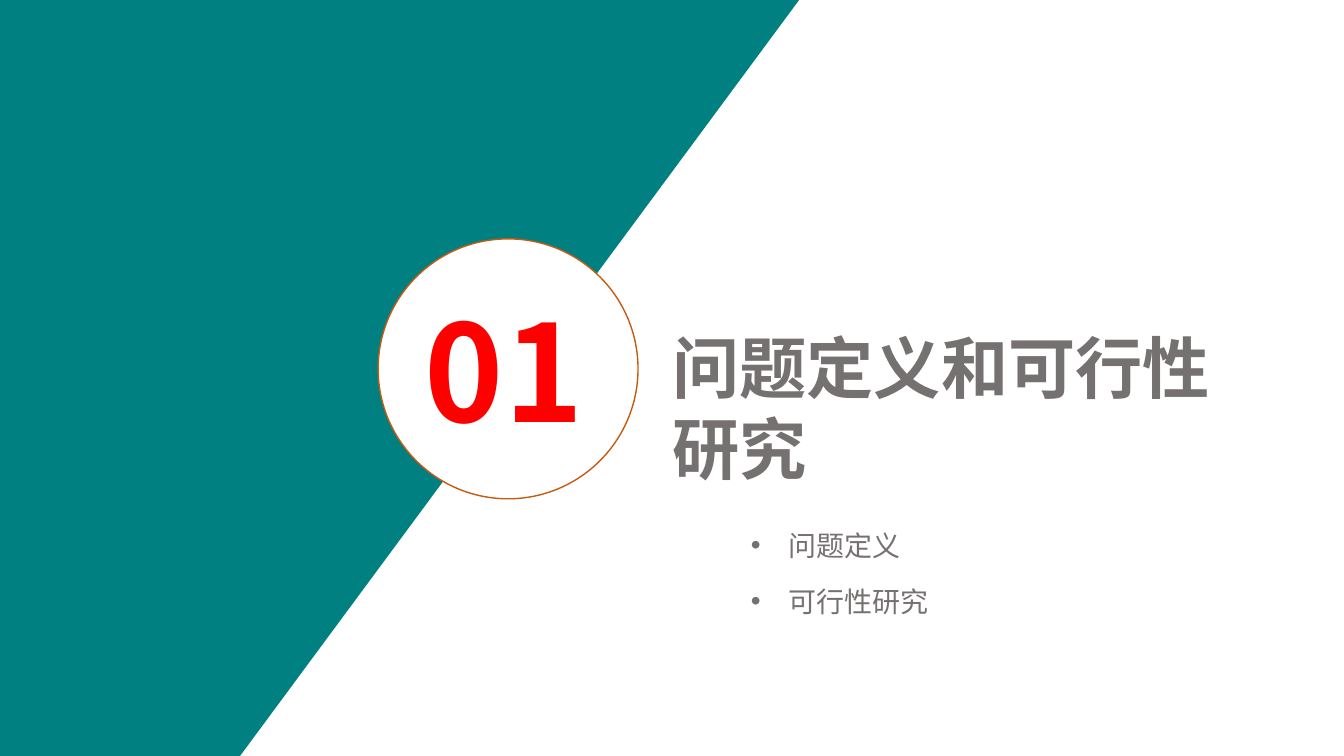
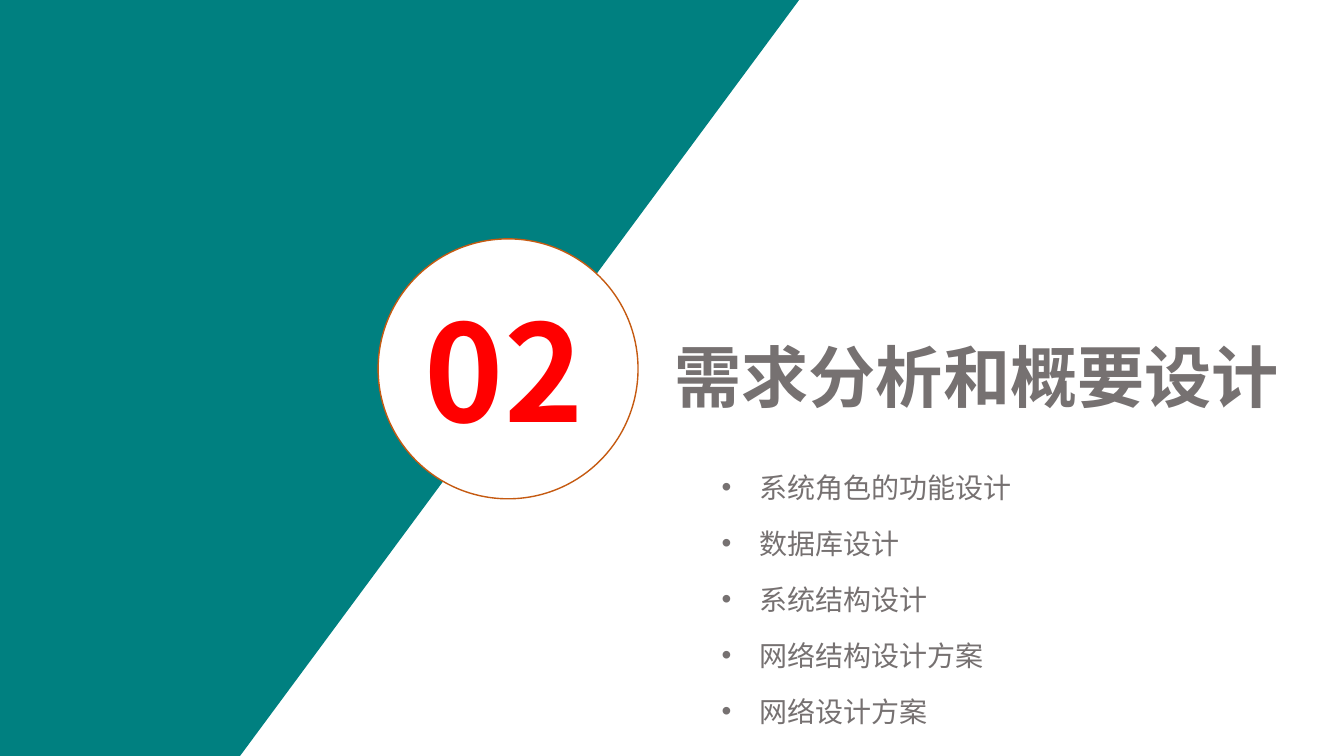
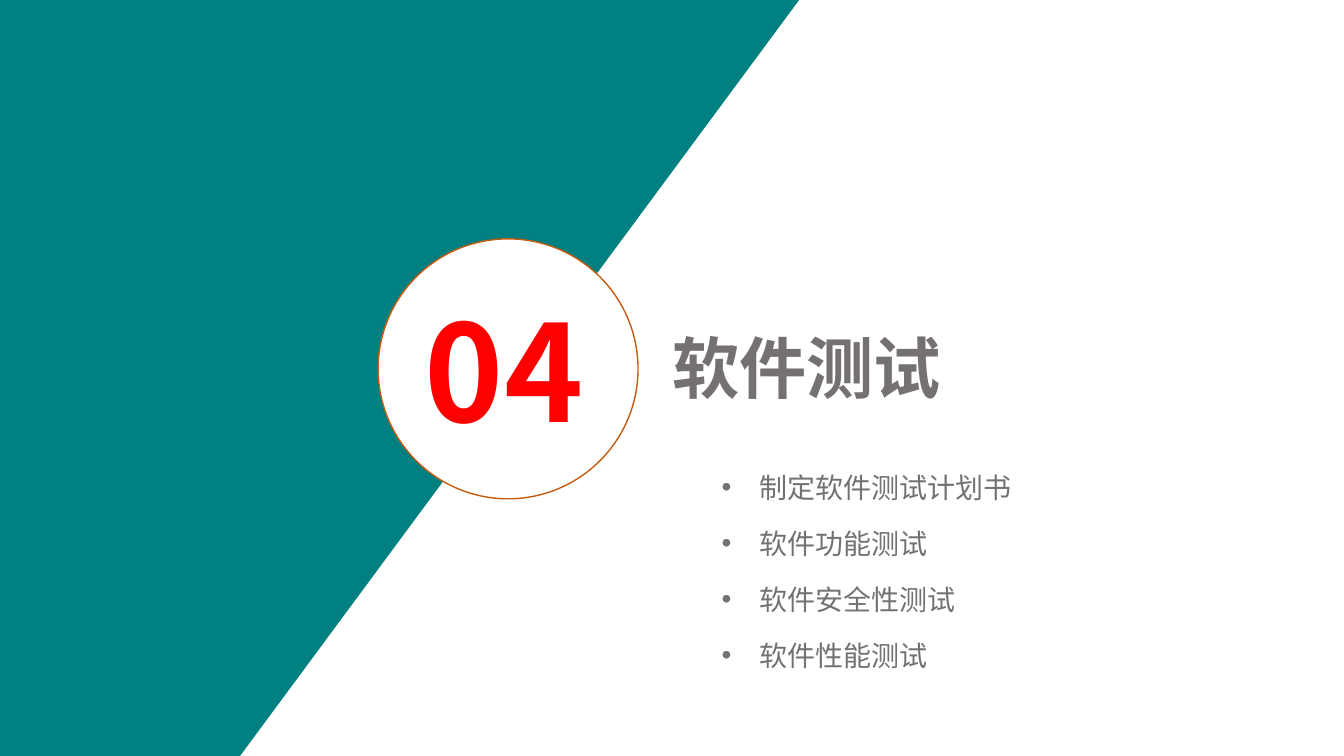
from lxml import etree
from pptx import Presentation
from pptx.dml.color import RGBColor
from pptx.enum.shapes import MSO_SHAPE
from pptx.enum.text import MSO_ANCHOR, MSO_AUTO_SIZE, PP_ALIGN
from pptx.oxml.ns import qn
from pptx.util import Cm, Pt

PARTS = [
    {
        "num": "01",
        "title": "问题定义和可行性研究",
        "head": (16.69, 8.1, 14.27, 4.47),
        "list": (18.67, 13.18),
        "items": ["问题定义", "可行性研究"],
    },
    {
        "num": "02",
        "title": "需求分析和概要设计",
        "head": (16.74, 8.31, 15.98, 2.44),
        "list": (17.93, 11.73),
        "items": ["系统角色的功能设计", "数据库设计", "系统结构设计",
                  "网络结构设计方案", "网络设计方案"],
    },
    {
        "num": "04",
        "title": "软件测试",
        "head": (16.69, 8.1, 14.27, 2.44),
        "list": (17.93, 11.73),
        "items": ["制定软件测试计划书", "软件功能测试",
                  "软件安全性测试", "软件性能测试"],
    },
]

TEAL = RGBColor(0x00, 0x80, 0x80)
WHITE = RGBColor(0xFF, 0xFF, 0xFF)
RUST = RGBColor(0xC5, 0x5A, 0x11)
RED = RGBColor(0xFF, 0x00, 0x00)
GREY = RGBColor(0x76, 0x71, 0x71)
FONT = "Noto Sans CJK SC"

WIDE, HIGH = 33.87, 19.05
BAND = [(20.14, 0), (6.05, HIGH), (0, HIGH)]
DISC = (9.53, 6.02, 6.55, 6.55)
NUM = (10.46, 7.14, 4.83, 4.6)
LISTW, STEP, INDENT = 10.31, 1.41, 0.95


def place(shape, box):
    shape.left, shape.top, shape.width, shape.height = map(Cm, box)


def style(shape, size, color, bold):
    frame = shape.text_frame
    frame.auto_size = MSO_AUTO_SIZE.NONE
    frame.vertical_anchor = MSO_ANCHOR.TOP
    for para in frame.paragraphs:
        para.alignment = PP_ALIGN.LEFT
        para.line_spacing = 1.0
        para.space_before = Pt(0)
        for run in para.runs:
            font = run.font
            font.size = Pt(size)
            font.bold = bold
            font.color.rgb = color
            font.name = FONT
            east = etree.SubElement(run._r.get_or_add_rPr(), qn("a:ea"))
            east.set("typeface", FONT)


def bullet(para):
    props = para._p.get_or_add_pPr()
    props.set("marL", str(Cm(INDENT)))
    props.set("indent", str(-Cm(INDENT)))
    etree.SubElement(props, qn("a:buFont")).set("typeface", "Arial")
    etree.SubElement(props, qn("a:buChar")).set("char", "•")


def add_band(slide):
    path = slide.shapes.build_freeform(0, 0)
    path.add_line_segments([(Cm(x), Cm(y)) for x, y in BAND], close=True)
    band = path.convert_to_shape()
    band.shadow.inherit = False
    band.fill.solid()
    band.fill.fore_color.rgb = TEAL
    band.line.fill.background()


def add_badge(slide, num):
    disc = slide.shapes.add_shape(MSO_SHAPE.OVAL, *map(Cm, DISC))
    disc.shadow.inherit = False
    disc.fill.solid()
    disc.fill.fore_color.rgb = WHITE
    disc.line.color.rgb = RUST
    disc.line.width = Pt(1)
    label = slide.shapes.add_textbox(*map(Cm, NUM))
    label.text_frame.text = num
    style(label, 96, RED, True)


def add_list(body, spot, items):
    place(body, (*spot, LISTW, STEP * len(items)))
    body.text_frame.text = "\n".join(items)
    for para in body.text_frame.paragraphs:
        bullet(para)
        para.space_after = Pt(16)
    style(body, 20, GREY, False)


def main():
    deck = Presentation()
    deck.slide_width, deck.slide_height = Cm(WIDE), Cm(HIGH)
    for part in PARTS:
        slide = deck.slides.add_slide(deck.slide_layouts[1])
        add_band(slide)
        add_badge(slide, part["num"])
        title = slide.shapes.title
        place(title, part["head"])
        title.text_frame.text = part["title"]
        style(title, 48, GREY, True)
        add_list(slide.placeholders[1], part["list"], part["items"])
    deck.save("out.pptx")


if __name__ == "__main__":
    main()
